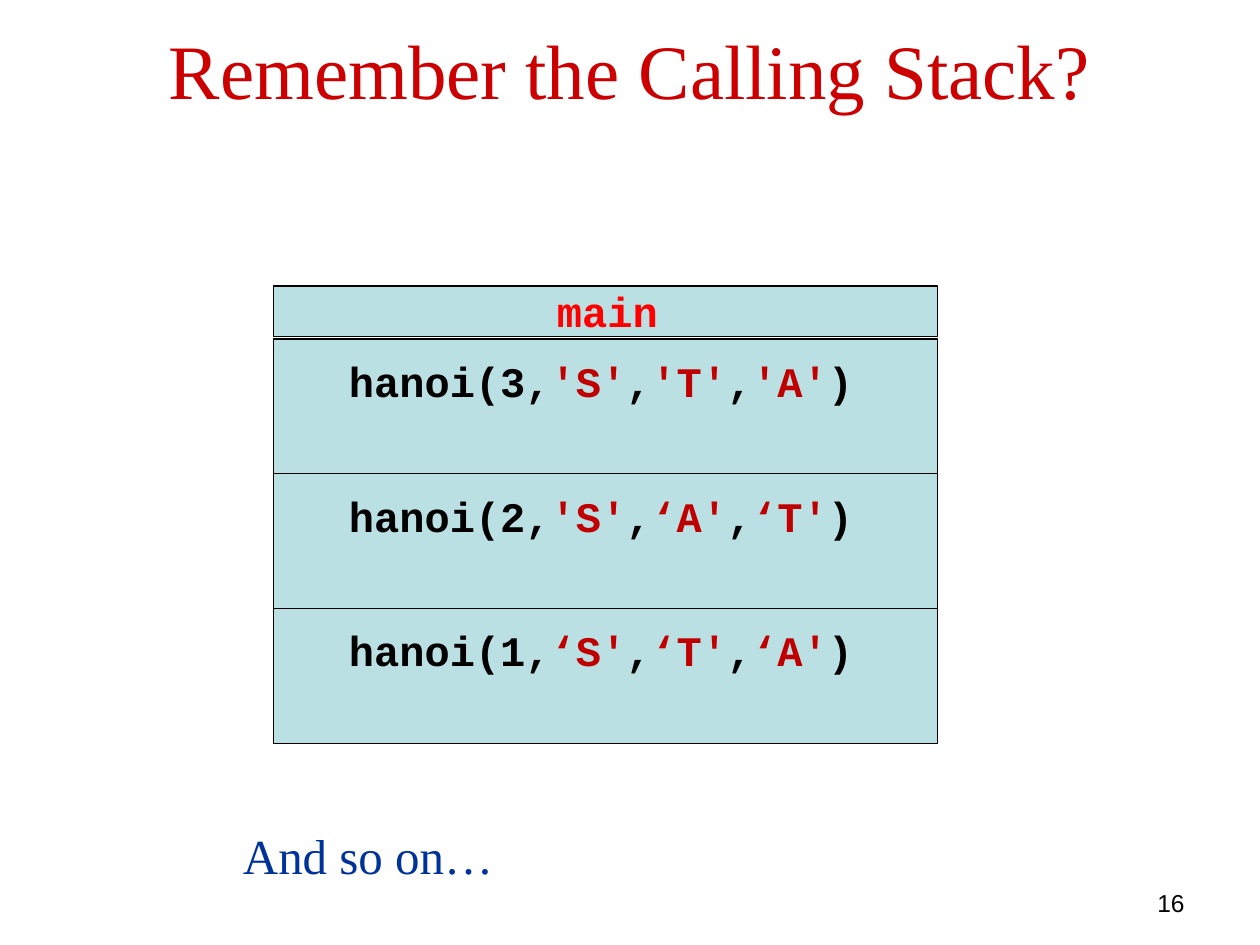
from pptx import Presentation
from pptx.dml.color import RGBColor
from pptx.enum.shapes import MSO_SHAPE
from pptx.enum.text import MSO_ANCHOR, PP_ALIGN
from pptx.util import Inches, Pt

BLACK = RGBColor(0x00, 0x00, 0x00)
TITLE_RED = RGBColor(0xCC, 0x00, 0x00)
MAIN_RED = RGBColor(0xFF, 0x00, 0x00)
ARGUMENT_RED = RGBColor(0xC0, 0x00, 0x00)
CLOSING_BLUE = RGBColor(0x00, 0x33, 0x99)
FRAME_FILL = RGBColor(0xBB, 0xE0, 0xE3)

TITLE = "Remember the Calling Stack?"
CLOSING = "And so on…"
PAGE_NUMBER = "16"
CALLS = [
    ("3", ["'S'", "'T'", "'A'"]),
    ("2", ["'S'", "‘A'", "‘T'"]),
    ("1", ["‘S'", "‘T'", "‘A'"]),
]

FRAME_LEFT, FRAME_WIDTH = 2.17, 5.27
MAIN_TOP, MAIN_HEIGHT = 2.27, 0.4
CALLS_TOP, CALL_HEIGHT, CALL_PITCH = 2.69, 1.07, 1.07
LABEL_WIDTH = 4.88


def add_text(shapes, box, runs, font_name, size, align=PP_ALIGN.LEFT,
             anchor=MSO_ANCHOR.TOP, before=0, bold=False):
    """Add a one-paragraph text box; runs are (text, colour) pairs."""
    frame = shapes.add_textbox(*map(Inches, box)).text_frame
    frame.word_wrap = True
    frame.vertical_anchor = anchor
    paragraph = frame.paragraphs[0]
    paragraph.alignment = align
    paragraph.space_before = Pt(before)
    paragraph.font.name = font_name
    paragraph.font.size = Pt(size)
    paragraph.font.bold = bold
    for text, color in runs:
        run = paragraph.add_run()
        run.text = text
        run.font.color.rgb = color


def add_stack_frame(slide, top, height, label_box, runs):
    group = slide.shapes.add_group_shape()
    frame = group.shapes.add_shape(
        MSO_SHAPE.RECTANGLE, Inches(FRAME_LEFT), Inches(top),
        Inches(FRAME_WIDTH), Inches(height))
    frame.shadow.inherit = False
    frame.fill.solid()
    frame.fill.fore_color.rgb = FRAME_FILL
    frame.line.color.rgb = BLACK
    frame.line.width = Pt(0.75)
    add_text(group.shapes, label_box, runs, "Courier New", 24,
             PP_ALIGN.CENTER, before=5, bold=True)


def call_runs(count, pegs):
    runs = [(f"hanoi({count}", BLACK)]
    for peg in pegs:
        runs += [(",", BLACK), (peg, ARGUMENT_RED)]
    return runs + [(")", BLACK)]


def main():
    deck = Presentation()
    deck.slide_width, deck.slide_height = Inches(10), Inches(7.5)
    slide = deck.slides.add_slide(deck.slide_layouts[6])

    add_text(slide.shapes, (7.17, 7, 2.33, 0.25), [(PAGE_NUMBER, BLACK)],
             "Arial", 14, PP_ALIGN.RIGHT)
    add_text(slide.shapes, (0.5, -0.08, 9, 1.25), [(TITLE, TITLE_RED)],
             "Times New Roman", 44, PP_ALIGN.CENTER, MSO_ANCHOR.MIDDLE)

    add_stack_frame(slide, MAIN_TOP, MAIN_HEIGHT,
                    (2.38, MAIN_TOP - 0.05, LABEL_WIDTH, 0.38),
                    [("main", MAIN_RED)])
    for level, (count, pegs) in enumerate(CALLS):
        top = CALLS_TOP + level * CALL_PITCH
        add_stack_frame(slide, top, CALL_HEIGHT,
                        (2.33, top + 0.08, LABEL_WIDTH, 0.5),
                        call_runs(count, pegs))

    add_text(slide.shapes, (1.83, 6.5, 5.17, 0.57), [(CLOSING, CLOSING_BLUE)],
             "Times New Roman", 28, before=3)
    deck.save("out.pptx")


if __name__ == "__main__":
    main()
